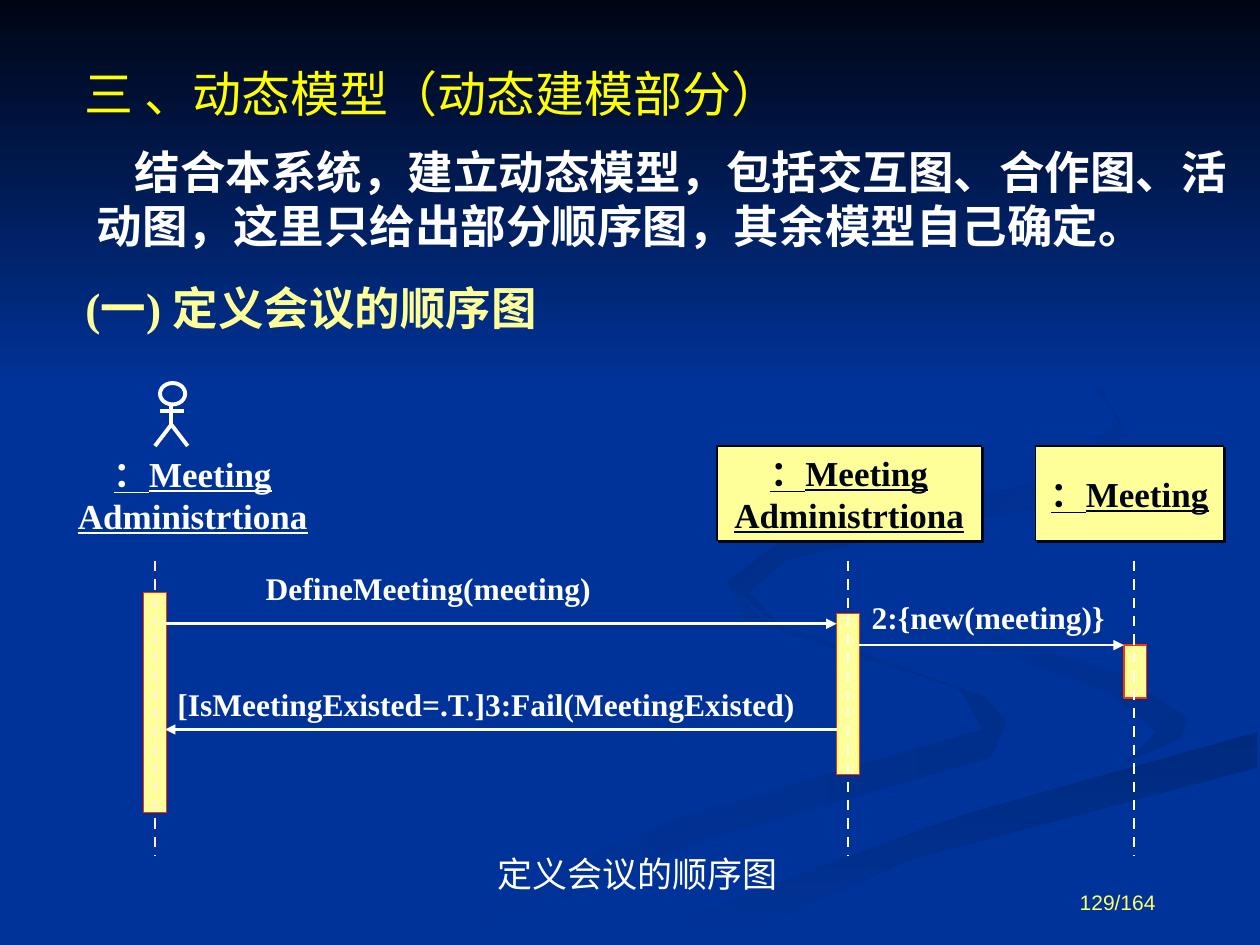
from lxml.etree import SubElement
from pptx import Presentation
from pptx.dml.color import RGBColor
from pptx.enum.dml import MSO_LINE
from pptx.enum.shapes import MSO_CONNECTOR, MSO_SHAPE
from pptx.enum.text import MSO_ANCHOR, PP_ALIGN
from pptx.oxml.ns import qn
from pptx.util import Inches, Pt

presentation = Presentation()
presentation.slide_width, presentation.slide_height = Inches(10), Inches(7.5)
slide = presentation.slides.add_slide(presentation.slide_layouts[6])
shapes = slide.shapes

# Grid of 1000 columns by 750 rows
cell = presentation.slide_width // 1000
color = RGBColor.from_string
NAVY, INK, CREAM, WHITE = "003399", "000514", "FFFF99", "FFFFFF"


def write(shape, lines, size, ink, bold=True, underline=False, align=PP_ALIGN.LEFT,
          anchor=MSO_ANCHOR.TOP, wrap=True, face="Times New Roman",
          asian="Noto Sans CJK SC", indent=0):
    frame = shape.text_frame
    frame.word_wrap, frame.vertical_anchor = wrap, anchor
    frame.text = "\n".join(lines)
    for paragraph in frame.paragraphs:
        paragraph.alignment = align
        font = paragraph.font
        font.size, font.name, font.bold, font.underline = Pt(size), face, bold, underline
        font.color.rgb = color(ink)
        properties = paragraph._p.get_or_add_pPr()
        properties.set("indent", str(indent * cell))
        SubElement(properties.find(qn("a:defRPr")), qn("a:ea"), typeface=asian)


def draw_line(x1, y1, x2, y2, width=1.5, ink=WHITE, dashed=False, arrow=False):
    line = shapes.add_connector(MSO_CONNECTOR.STRAIGHT, *(n * cell for n in (x1, y1, x2, y2)))
    line.line.color.rgb = color(ink)
    line.line.width = Pt(width)
    if dashed:
        line.line.dash_style = MSO_LINE.DASH
    if arrow:
        SubElement(line.line._get_or_add_ln(), qn("a:tailEnd"), type="triangle")
    SubElement(line._element.spPr, qn("a:effectLst"))


# Background with its swirls: outline, first colour, last colour, clockwise angle
slide.background.fill.solid()
slide.background.fill.fore_color.rgb = color(NAVY)
swirls = [
    ([(781, 553), (602, 490), (575, 459), (593, 491), (762, 547), (780, 579),
      (539, 649), (300, 749), (361, 749), (564, 665), (786, 601), (799, 573)],
     NAVY, "002E8B", 0),
    ([(943, 570), (888, 535), (745, 490), (724, 464), (755, 505), (880, 549),
      (918, 581), (894, 605), (937, 586)], NAVY, "002E8B", 45),
    ([(503, 749), (571, 749), (722, 682), (998, 609), (998, 581), (764, 647), (569, 719)],
     "002A7D", NAVY, 90),
    ([(683, 430), (825, 402), (894, 344), (864, 291), (762, 233), (846, 279), (889, 335),
      (830, 382), (625, 426), (577, 462), (622, 500), (593, 470), (624, 444)],
     "002B82", NAVY, 45),
    ([(0, 0), (0, 308), (1000, 308), (1000, 0)], INK, NAVY, 90),
]
for outline, first, last, angle in swirls:
    builder = shapes.build_freeform(*outline[0], scale=cell)
    builder.add_line_segments(outline[1:], close=True)
    swirl = builder.convert_to_shape()
    swirl.shadow.inherit = False
    swirl.line.fill.background()
    swirl.fill.gradient()
    swirl.fill.gradient_angle = -angle % 360
    for stop, shade in zip(swirl.fill.gradient_stops, (first, last)):
        stop.color.rgb = color(shade)

# Activation bars, then the lifelines over them
for left, top, height in [(114, 470, 175), (664, 487, 128), (892, 512, 42)]:
    bar = shapes.add_shape(MSO_SHAPE.RECTANGLE, left * cell, top * cell, 18 * cell, height * cell)
    bar.shadow.inherit = False
    bar.fill.solid()
    bar.fill.fore_color.rgb = color(CREAM)
    bar.line.color.rgb = color("FF3300")
    bar.line.width = Pt(0.75)
for x, ink in [(123, "FEECF0"), (673, WHITE), (900, WHITE)]:
    draw_line(x, 445, x, 679, ink=ink, dashed=True)

# Messages
for x1, x2, y in [(131, 664, 495), (664, 131, 579), (682, 892, 512)]:
    draw_line(x1, y, x2, y, arrow=True)

# Object headers
actor_name = ["：Meeting", "Administrtiona"]
for left, width, lines in [(569, 210, actor_name), (822, 149, actor_name[:1])]:
    header = shapes.add_shape(MSO_SHAPE.RECTANGLE, left * cell, 354 * cell, width * cell, 75 * cell)
    header.fill.solid()
    header.fill.fore_color.rgb = color(CREAM)
    header.line.color.rgb = color(INK)
    header.line.width = Pt(0.75)
    header.shadow.inherit = False
    effects = header._element.spPr.find(qn("a:effectLst"))
    shadow = SubElement(effects, qn("a:outerShdw"), dist=str(Pt(1.4)), dir="2700000")
    SubElement(shadow, qn("a:srgbClr"), val=INK)
    write(header, lines, 20, INK, underline=True, align=PP_ALIGN.CENTER,
          anchor=MSO_ANCHOR.MIDDLE, wrap=False)

# Actor: head, then body, arms and legs
head = shapes.add_shape(MSO_SHAPE.OVAL, 127 * cell, 304 * cell, 20 * cell, 17 * cell)
head.shadow.inherit = False
head.fill.background()
head.line.color.rgb = color(WHITE)
head.line.width = Pt(2.25)
draw_line(136, 320, 136, 337, width=2.25)
draw_line(127, 326, 146, 326, width=2.25)
for foot in (123, 149):
    draw_line(136, 337, foot, 354, width=2.25)

# Texts: place, lines, size, colour, other settings
center = PP_ALIGN.CENTER
texts = [
    ((57, 40, 850, 67), ["三 、动态模型（动态建模部分）"], 28, "FFFF00",
     dict(bold=False, anchor=MSO_ANCHOR.MIDDLE, asian="Noto Sans CJK JP")),
    ((67, 109, 933, 97),
     ["结合本系统，建立动态模型，包括交互图、合作图、活动图，这里只给出部分顺序图，其余模型自己确定。"],
     26, WHITE, dict(face="Noto Sans CJK SC", indent=30)),
    ((58, 217, 825, 54), ["(一) 定义会议的顺序图"], 26, CREAM, {}),
    ((44, 354, 218, 77), actor_name, 20, WHITE, dict(underline=True, align=center)),
    ((201, 447, 358, 40), ["DefineMeeting(meeting)"], 18, WHITE, {}),
    ((131, 539, 559, 40), ["[IsMeetingExisted=.T.]3:Fail(MeetingExisted)"], 18, WHITE, {}),
    ((682, 470, 254, 40), ["2:{new(meeting)}"], 18, WHITE, {}),
    ((256, 672, 500, 44), ["定义会议的顺序图"], 20, WHITE, dict(bold=False, align=center)),
    ((694, 679, 233, 52), ["129/164"], 12, "FFFF66",
     dict(bold=False, face="Arial", align=PP_ALIGN.RIGHT, anchor=MSO_ANCHOR.BOTTOM)),
]
for place, lines, size, ink, settings in texts:
    write(shapes.add_textbox(*(n * cell for n in place)), lines, size, ink, **settings)

presentation.save("out.pptx")
